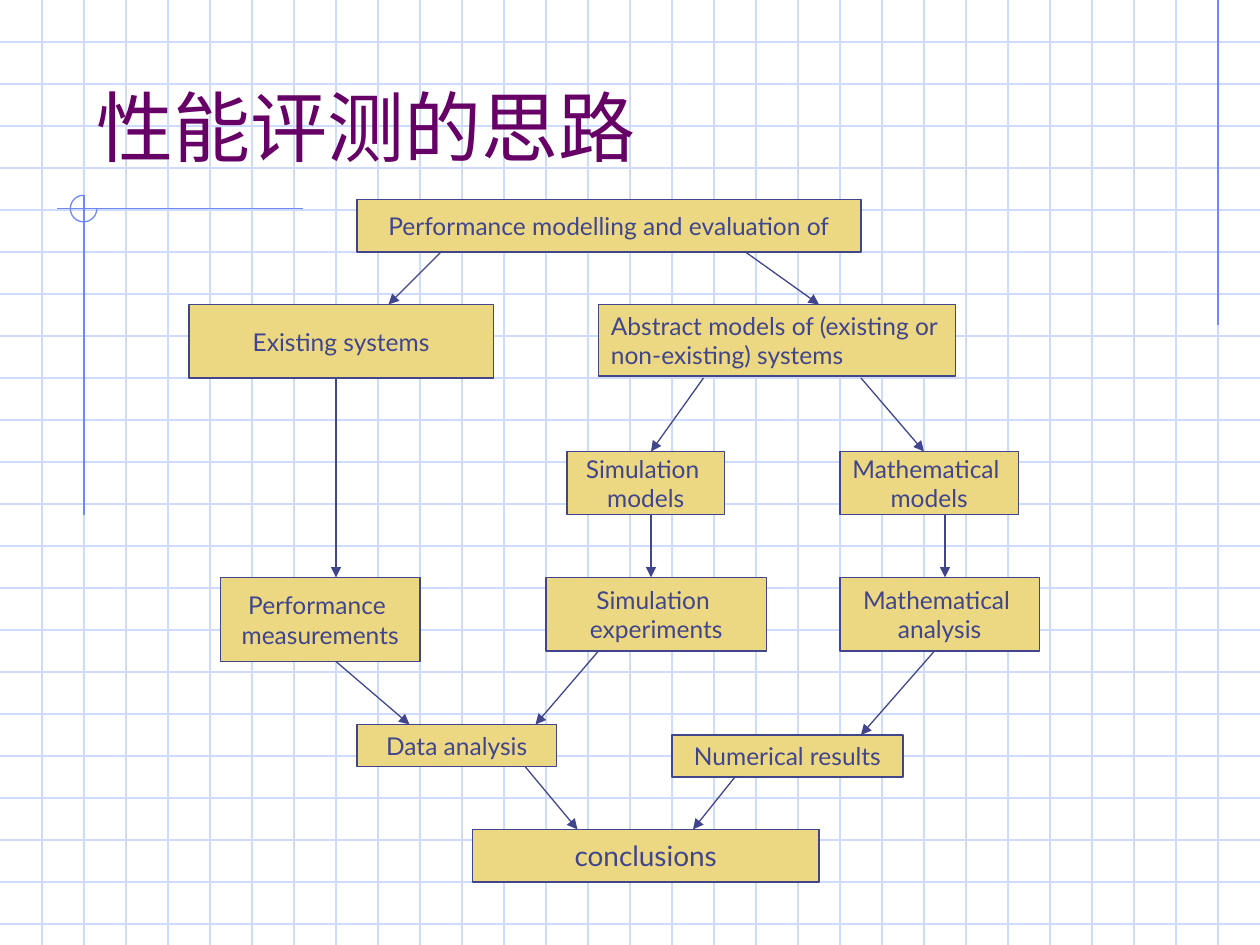
import pptx
import pptx.util
import pptx.dml.color
import pptx.enum.shapes
import pptx.enum.text
import pptx.oxml.ns
from dataclasses import dataclass
from lxml import etree

Pt = pptx.util.Pt
Text = pptx.enum.text
Kind = pptx.enum.shapes


@dataclass(frozen=True)
class Theme:
    grid: str = "CFDBFD"
    accent: str = "6F89F7"
    ink: str = "40458C"
    fill: str = "ECD882"
    title: str = "660066"
    font: str = "Lato"
    head: float = 44
    body: float = 14
    last: float = 16
    line: float = 0.74


THEME = Theme()
WIDE, HIGH, STEP = 720, 540, 24

# Box label, left, top, width, height
BOXES = [
    ("Performance modelling and evaluation of", 204, 114, 288, 30),
    ("Existing systems", 108, 174, 174, 42),
    ("Simulation \nmodels", 324, 258, 90, 36),
    ("Mathematical \nmodels", 480, 258, 102, 36),
    ("Performance \nmeasurements", 126, 330, 114, 48),
    ("Simulation \nexperiments", 312, 330, 126, 42),
    ("Mathematical \nanalysis", 480, 330, 114, 42),
    ("Data analysis", 204, 414, 114, 24),
    ("Numerical results", 384, 420, 132, 24),
]

# Arrow start x, y and end x, y
ARROWS = [
    (252, 144, 222, 174), (426, 144, 468, 174),
    (402, 216, 372, 258), (492, 216, 528, 258),
    (192, 216, 192, 330), (372, 294, 372, 330), (540, 294, 540, 330),
    (192, 378, 234, 414), (342, 372, 306, 414), (534, 372, 492, 420),
    (300, 438, 330, 474), (420, 444, 396, 474),
]


def color(code):
    return pptx.dml.color.RGBColor.from_string(code)


def style(frame, size, code, align):
    for para in frame.paragraphs:
        para.alignment = align
        for run in para.runs:
            run.font.name = THEME.font
            run.font.size = Pt(size)
            run.font.color.rgb = color(code)


def stroke(shape, code):
    shape.line.color.rgb = color(code)
    shape.line.width = Pt(THEME.line)


def add_line(slide, ends, code, arrow=False):
    line = slide.shapes.add_connector(
        Kind.MSO_CONNECTOR.STRAIGHT, *[Pt(v) for v in ends])
    stroke(line, code)
    qn = pptx.oxml.ns.qn
    if arrow:
        tail = etree.SubElement(line.line._get_or_add_ln(), qn("a:tailEnd"))
        tail.set("type", "triangle")
    etree.SubElement(line.element.spPr, qn("a:effectLst"))


def add_box(slide, label, *area, size=THEME.body):
    box = slide.shapes.add_shape(
        Kind.MSO_SHAPE.RECTANGLE, *[Pt(v) for v in area])
    box.shadow.inherit = False
    box.fill.solid()
    box.fill.fore_color.rgb = color(THEME.fill)
    stroke(box, THEME.ink)
    frame = box.text_frame
    frame.text = label
    frame.word_wrap = False
    frame.vertical_anchor = Text.MSO_ANCHOR.MIDDLE
    style(frame, size, THEME.ink, Text.PP_ALIGN.CENTER)
    return box


def add_note(slide, label, *area):
    # Left-aligned box whose text wraps
    frame = add_box(slide, label, *area).text_frame
    frame.word_wrap = True
    frame.auto_size = Text.MSO_AUTO_SIZE.SHAPE_TO_FIT_TEXT
    frame.vertical_anchor = Text.MSO_ANCHOR.TOP
    frame.paragraphs[0].alignment = Text.PP_ALIGN.LEFT
    frame.paragraphs[0].space_before = Pt(8.8)


def add_grid(slide):
    for y in range(STEP, HIGH, STEP):
        add_line(slide, (0, y, WIDE, y), THEME.grid)
    for x in range(STEP, WIDE, STEP):
        add_line(slide, (x, 0, x, HIGH), THEME.grid)


def add_trim(slide):
    for ends in [(696, 0, 696, 186), (173, 119.2, 32.4, 119.2),
                 (48, 111.6, 48, 294.5)]:
        add_line(slide, ends, THEME.accent)
    # Three-quarter ring, open at the upper right
    ring = slide.shapes.add_shape(
        Kind.MSO_SHAPE.ARC, Pt(40.2), Pt(111.6), Pt(15.2), Pt(15.2))
    ring.adjustments[0] = 0
    ring.adjustments[1] = 162
    ring.shadow.inherit = False
    ring.fill.background()
    stroke(ring, THEME.accent)


def set_title(slide, label):
    title = slide.shapes.title
    title.left, title.top = Pt(48), Pt(36)
    title.width, title.height = Pt(612), Pt(66)
    frame = title.text_frame
    frame.text = label
    frame.word_wrap = True
    frame.auto_size = Text.MSO_AUTO_SIZE.NONE
    frame.vertical_anchor = Text.MSO_ANCHOR.BOTTOM
    style(frame, THEME.head, THEME.title, Text.PP_ALIGN.LEFT)
    # Bring the title in front of the grid
    title.element.getparent().append(title.element)


def main():
    deck = pptx.Presentation()
    deck.slide_width, deck.slide_height = Pt(WIDE), Pt(HIGH)
    slide = deck.slides.add_slide(deck.slide_layouts.get_by_name("Title Only"))

    # Backdrop and title
    add_grid(slide)
    add_trim(slide)
    set_title(slide, "性能评测的思路")

    # Flow chart
    for box in BOXES:
        add_box(slide, *box)
    add_note(slide, "Abstract models of (existing or non-existing) systems",
             342, 174, 204, 41)
    add_box(slide, "conclusions", 270, 474, 198, 30, size=THEME.last)
    for ends in ARROWS:
        add_line(slide, ends, THEME.ink, arrow=True)

    deck.save("out.pptx")


main()
